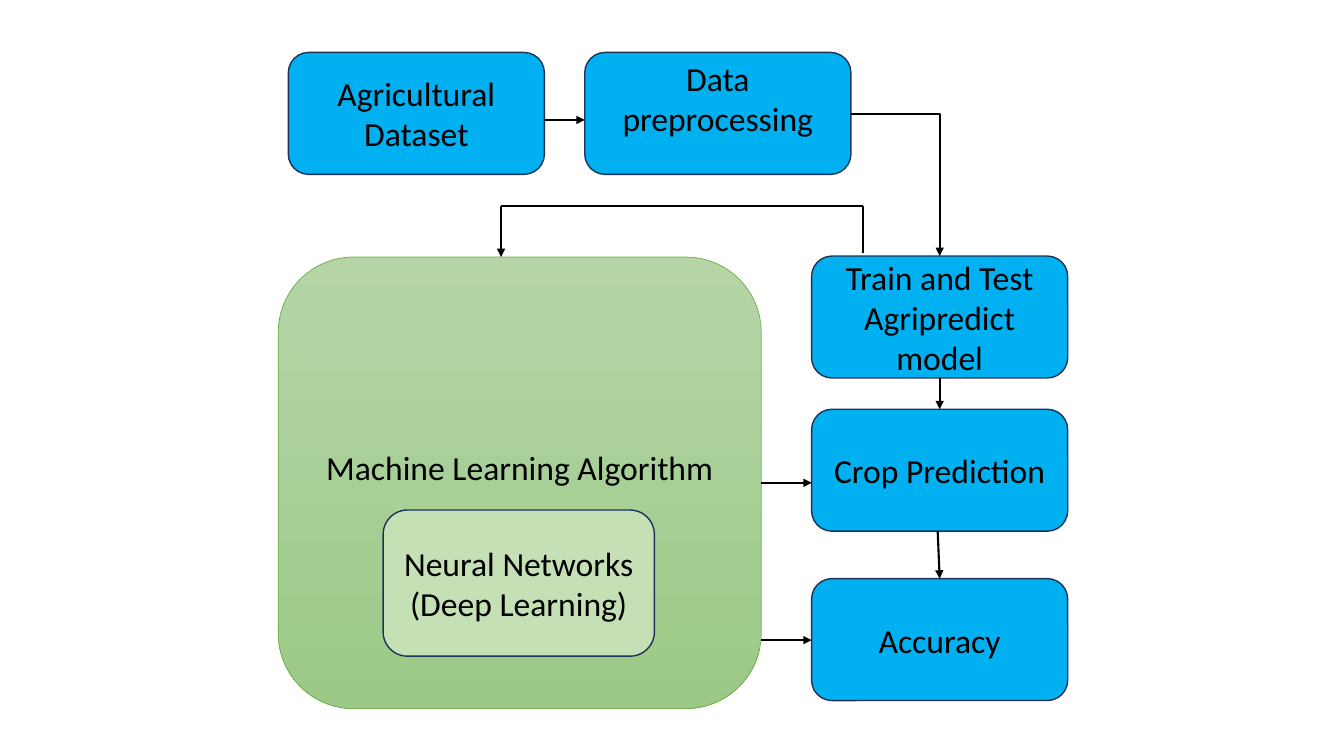
"""Build a flowchart slide of a crop prediction pipeline."""
from lxml import etree
from pptx import Presentation
from pptx.dml.color import RGBColor
from pptx.enum.shapes import MSO_CONNECTOR, MSO_SHAPE
from pptx.enum.text import MSO_ANCHOR, PP_ALIGN
from pptx.oxml.ns import qn
from pptx.util import Inches, Pt

ROUNDED = MSO_SHAPE.ROUNDED_RECTANGLE
STRAIGHT, ELBOW = MSO_CONNECTOR.STRAIGHT, MSO_CONNECTOR.ELBOW
MIDDLE, CENTER = MSO_ANCHOR.MIDDLE, PP_ALIGN.CENTER

BLACK = RGBColor(0x00, 0x00, 0x00)
BLUE = RGBColor(0x00, 0xB0, 0xF0)
NAVY = RGBColor(0x1E, 0x32, 0x56)
GREEN = RGBColor(0x70, 0xAD, 0x47)
PALE_GREEN = RGBColor(0xC5, 0xE0, 0xB4)
GREEN_FADE = (RGBColor(0xB5, 0xD5, 0xA7), RGBColor(0x9C, 0xC9, 0x87))

STEP_WIDTH, STEP_HEIGHT = 2.54, 1.21
TOP_ROW, RIGHT_COLUMN = 0.52, 8.05
RAISED = 0.36
STEPS = [
    ("Agricultural Dataset", 2.86, TOP_ROW, {}),
    ("Data preprocessing", 5.8, TOP_ROW, {"width": 2.64, "bottom": RAISED}),
    ("Train and Test Agripredict model", RIGHT_COLUMN, 2.54, {}),
    ("Crop Prediction", RIGHT_COLUMN, 4.06, {}),
    ("Accuracy", RIGHT_COLUMN, 5.74, {}),
    ("Machine Learning Algorithm", 2.76, 2.55,
     {"width": 4.79, "height": 4.48, "fill": GREEN_FADE, "line": GREEN,
      "line_width": 0.5, "bottom": RAISED}),
    ("Neural Networks\n(Deep Learning)", 3.8, 5.06,
     {"width": 2.69, "height": 1.45, "fill": PALE_GREEN}),
]

COLUMN_CENTER = 9.32
BRANCH_TOP, BRANCH_LEFT, BRANCH_RIGHT = 2.04, 4.97, 8.56
ARROWS = [
    ((5.4, 1.19), (5.8, 1.19)),
    ((COLUMN_CENTER, 3.75), (COLUMN_CENTER, 4.06)),
    ((9.3, 5.27), (COLUMN_CENTER, 5.74)),
    ((BRANCH_LEFT, BRANCH_TOP), (BRANCH_LEFT, 2.55)),
    ((7.55, 4.79), (RIGHT_COLUMN, 4.79)),
    ((7.55, 6.35), (RIGHT_COLUMN, 6.35)),
]
PLAIN_LINES = [
    ((BRANCH_LEFT, BRANCH_TOP), (BRANCH_RIGHT, BRANCH_TOP)),
    ((BRANCH_RIGHT, BRANCH_TOP), (BRANCH_RIGHT, 2.51)),
]
BENT_ARROW = ((8.44, 1.13), (COLUMN_CENTER, 2.54))


def add_step(page, text, left, top, width=STEP_WIDTH, height=STEP_HEIGHT,
             fill=BLUE, line=NAVY, line_width=1, bottom=0.05):
    """Add a rounded box with centred text."""
    box = page.shapes.add_shape(ROUNDED, Inches(left), Inches(top),
                                Inches(width), Inches(height))
    box.shadow.inherit = False
    if isinstance(fill, RGBColor):
        box.fill.solid()
        box.fill.fore_color.rgb = fill
    else:
        box.fill.gradient()
        box.fill.gradient_angle = 270
        for stop, color in zip(box.fill.gradient_stops, fill):
            stop.color.rgb = color
    box.line.color.rgb = line
    box.line.width = Pt(line_width)
    frame = box.text_frame
    frame.word_wrap = True
    frame.vertical_anchor = MIDDLE
    frame.margin_bottom = Inches(bottom)
    frame.text = text
    for para in frame.paragraphs:
        para.alignment = CENTER
        para.font.name = "Calibri"
        para.font.size = Pt(24)
        para.font.color.rgb = BLACK


def add_line(page, start, end, kind=STRAIGHT, arrow=True):
    """Add a black connector, with an arrowhead at its end if asked."""
    points = [Inches(value) for value in (*start, *end)]
    connector = page.shapes.add_connector(kind, *points)
    connector.line.color.rgb = BLACK
    connector.line.width = Pt(1.5)
    properties = connector._element.spPr
    if kind == ELBOW:
        properties.find(qn("a:prstGeom")).set("prst", "bentConnector2")
    if arrow:
        outline = properties.find(qn("a:ln"))
        etree.SubElement(outline, qn("a:tailEnd"), type="triangle")
    etree.SubElement(properties, qn("a:effectLst"))


def main():
    """Build and save the deck."""
    deck = Presentation()
    deck.slide_width, deck.slide_height = Inches(13.33), Inches(7.5)
    page = deck.slides.add_slide(deck.slide_layouts.get_by_name("Blank"))
    for text, left, top, options in STEPS:
        add_step(page, text, left, top, **options)
    for start, end in ARROWS:
        add_line(page, start, end)
    for start, end in PLAIN_LINES:
        add_line(page, start, end, arrow=False)
    add_line(page, *BENT_ARROW, kind=ELBOW)
    deck.save("out.pptx")


if __name__ == "__main__":
    main()
